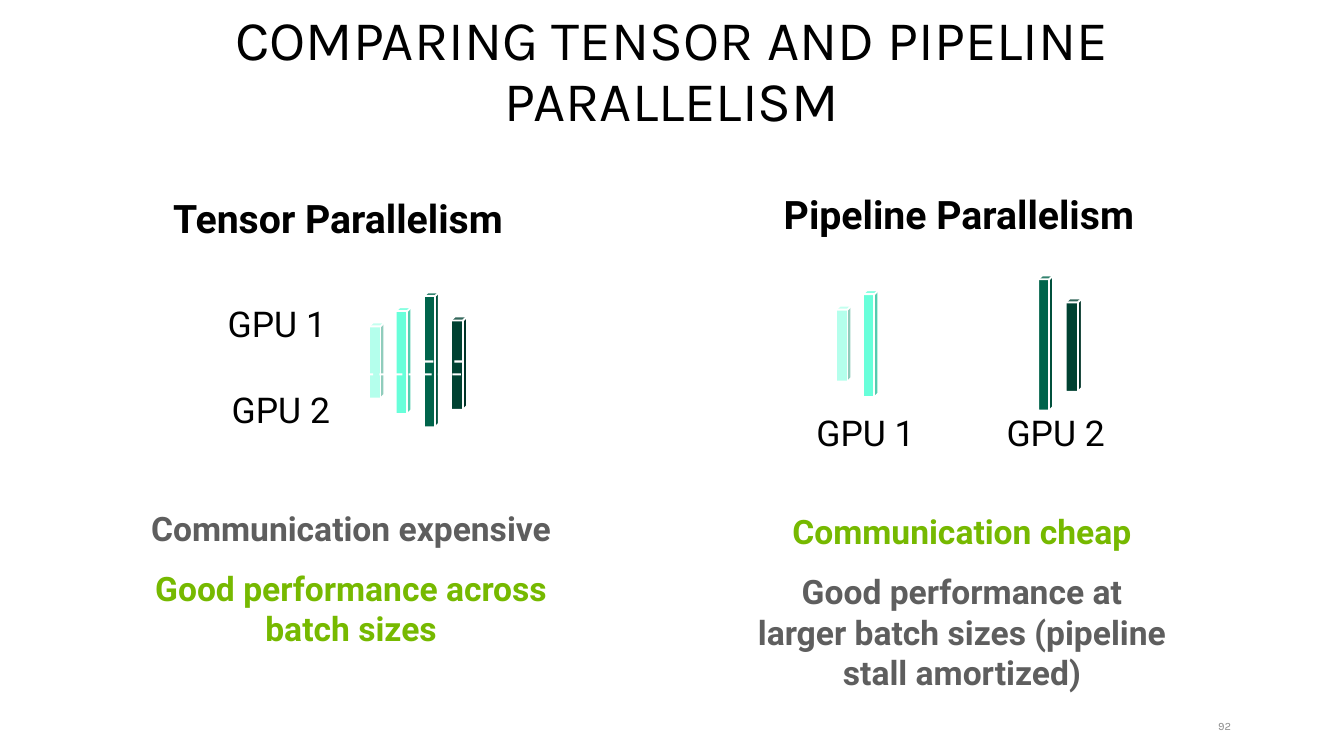
from pptx import Presentation
from pptx.dml.color import RGBColor
from pptx.enum.dml import MSO_LINE
from pptx.enum.shapes import MSO_SHAPE
from pptx.enum.text import MSO_ANCHOR, PP_ALIGN
from pptx.util import Emu, Pt

PX = 9144  # 100 px to the inch
BLACK = RGBColor(0x00, 0x00, 0x00)
WHITE = RGBColor(0xFF, 0xFF, 0xFF)
GRAY = RGBColor(0x5E, 0x5E, 0x5E)
LIGHT_GRAY = RGBColor(0x8C, 0x8C, 0x8C)
GREEN = RGBColor(0x76, 0xB9, 0x00)
MINT = RGBColor(0xB4, 0xFF, 0xEC)
AQUA = RGBColor(0x68, 0xFF, 0xDA)
TEAL = RGBColor(0x00, 0x64, 0x4B)
DARK_TEAL = RGBColor(0x00, 0x42, 0x32)

prs = Presentation()
prs.slide_width, prs.slide_height = Emu(2000 * PX), Emu(1125 * PX)
s = prs.slides.add_slide(prs.slide_layouts[6])


def add_text(box, *lines, size, font="Roboto", color=BLACK, bold=False, shape=None,
             align=PP_ALIGN.CENTER, anchor=MSO_ANCHOR.TOP, spacing=None, gap=0, inset=None):
    """Write lines, each a string or a (string, colour) pair, in a text box or preset shape."""
    frame = [Emu(v * PX) for v in box]
    if shape is None:
        sp = s.shapes.add_textbox(*frame)
    else:
        sp = add_shape(shape, box)
    tf = sp.text_frame
    tf.word_wrap = True
    tf.vertical_anchor = anchor
    if inset is not None:
        tf.margin_left = tf.margin_right = tf.margin_top = tf.margin_bottom = inset
    for i, line in enumerate(lines):
        text, line_color = line if isinstance(line, tuple) else (line, color)
        p = tf.paragraphs[0] if i == 0 else tf.add_paragraph()
        p.alignment = align
        if spacing:
            p.line_spacing = spacing
        if i and gap:
            p.space_before = Pt(gap)
        r = p.add_run()
        r.text = text
        r.font.name, r.font.size, r.font.bold = font, Pt(size), bold
        r.font.color.rgb = line_color


def add_shape(kind, box, fill=None, line_width=None, dash=None):
    sp = s.shapes.add_shape(kind, *[Emu(v * PX) for v in box])
    sp.shadow.inherit = False
    if fill is None:
        sp.fill.background()
    else:
        sp.fill.solid()
        sp.fill.fore_color.rgb = fill
    if line_width is None:
        sp.line.fill.background()
    else:
        sp.line.color.rgb = WHITE
        sp.line.width = Pt(line_width)
        if dash:
            sp.line.dash_style = dash
    return sp


add_text((1777, 1071, 55, 20), "92", size=12, font="Karla", color=LIGHT_GRAY,
         align=PP_ALIGN.RIGHT, anchor=MSO_ANCHOR.MIDDLE, inset=0)

# Tensor parallelism: each GPU frame cuts across the layers
for box, color in [((631, 435, 22, 201), TEAL), ((671, 471, 24, 139), DARK_TEAL)]:
    add_shape(MSO_SHAPE.CUBE, box, color, 2)
add_shape(MSO_SHAPE.ROUNDED_RECTANGLE, (292, 426, 439, 112), None, 2.25, MSO_LINE.DASH)
for box, color in [((549, 480, 23, 113), MINT), ((589, 457, 23, 159), AQUA)]:
    add_shape(MSO_SHAPE.CUBE, box, color, 2)
add_shape(MSO_SHAPE.ROUNDED_RECTANGLE, (292, 557, 439, 112), None, 2.25, MSO_LINE.DASH)

# Pipeline parallelism: each GPU holds whole layers
for box, color in [
    ((1545, 410, 22, 201), TEAL),
    ((1586, 444, 24, 139), DARK_TEAL),
    ((1244, 455, 23, 113), MINT),
    ((1284, 432, 23, 159), AQUA),
]:
    add_shape(MSO_SHAPE.CUBE, box, color, 2)

for text, x, y, w, align in [
    ("GPU 1", 329, 445, 261, PP_ALIGN.LEFT),
    ("GPU 2", 292, 572, 252, PP_ALIGN.CENTER),
    ("GPU 1", 1205, 607, 261, PP_ALIGN.LEFT),
    ("GPU 2", 1445, 607, 252, PP_ALIGN.CENTER),
]:
    add_text((x, y, w, 74), text, size=38, align=align)

for text, x, y in [("Tensor Parallelism", 210, 279), ("Pipeline Parallelism", 1134, 274)]:
    add_text((x, y, 586, 89), text, size=42, bold=True,
             shape=MSO_SHAPE.ROUNDED_RECTANGLE, anchor=MSO_ANCHOR.MIDDLE)

for box, communication, performance in [
    ((207, 751, 631, 283), ("Communication expensive", GRAY),
     ("Good performance across batch sizes", GREEN)),
    ((1116, 756, 631, 288), ("Communication cheap", GREEN),
     ("Good performance at larger batch sizes (pipeline stall amortized)", GRAY)),
]:
    add_text(box, communication, performance, size=36, bold=True, gap=21)

add_text((91, 95, 1818, 108), "COMPARING TENSOR AND PIPELINE PARALLELISM", size=60,
         font="Karla", anchor=MSO_ANCHOR.BOTTOM, spacing=0.9)

prs.save("out.pptx")
